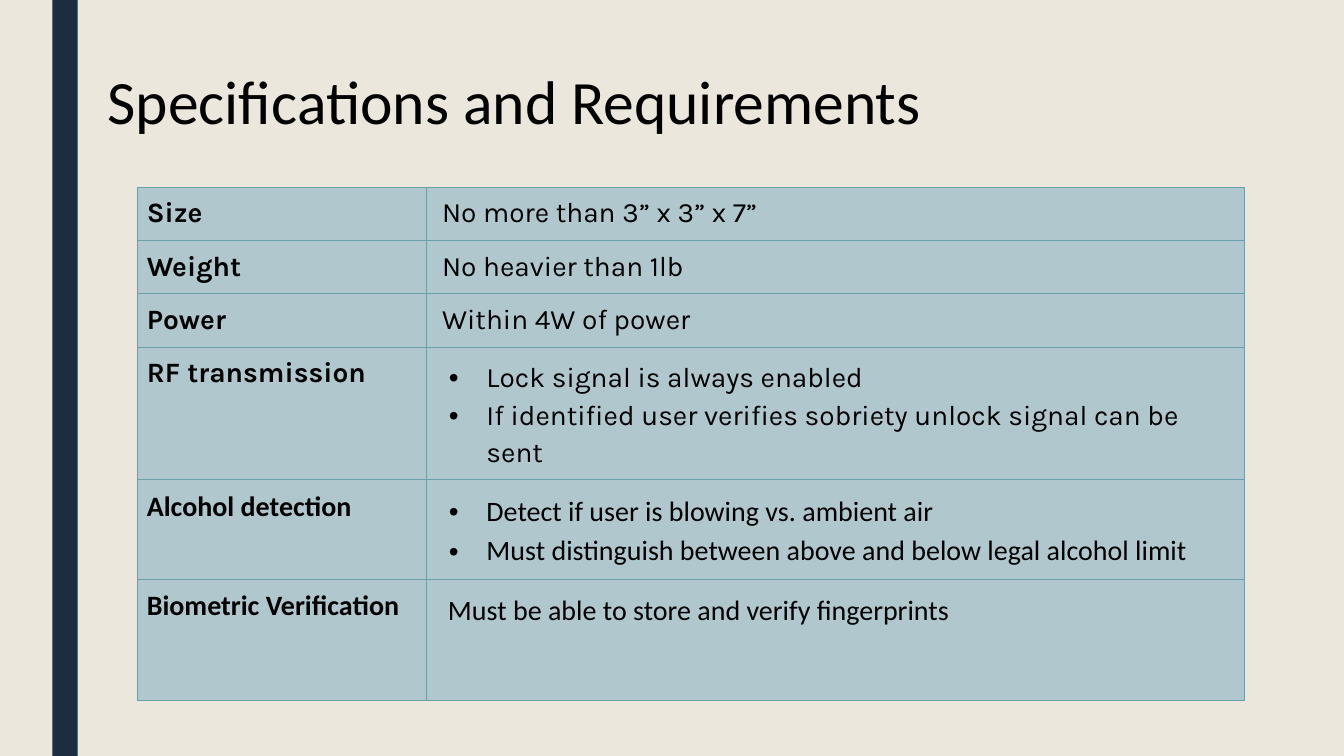
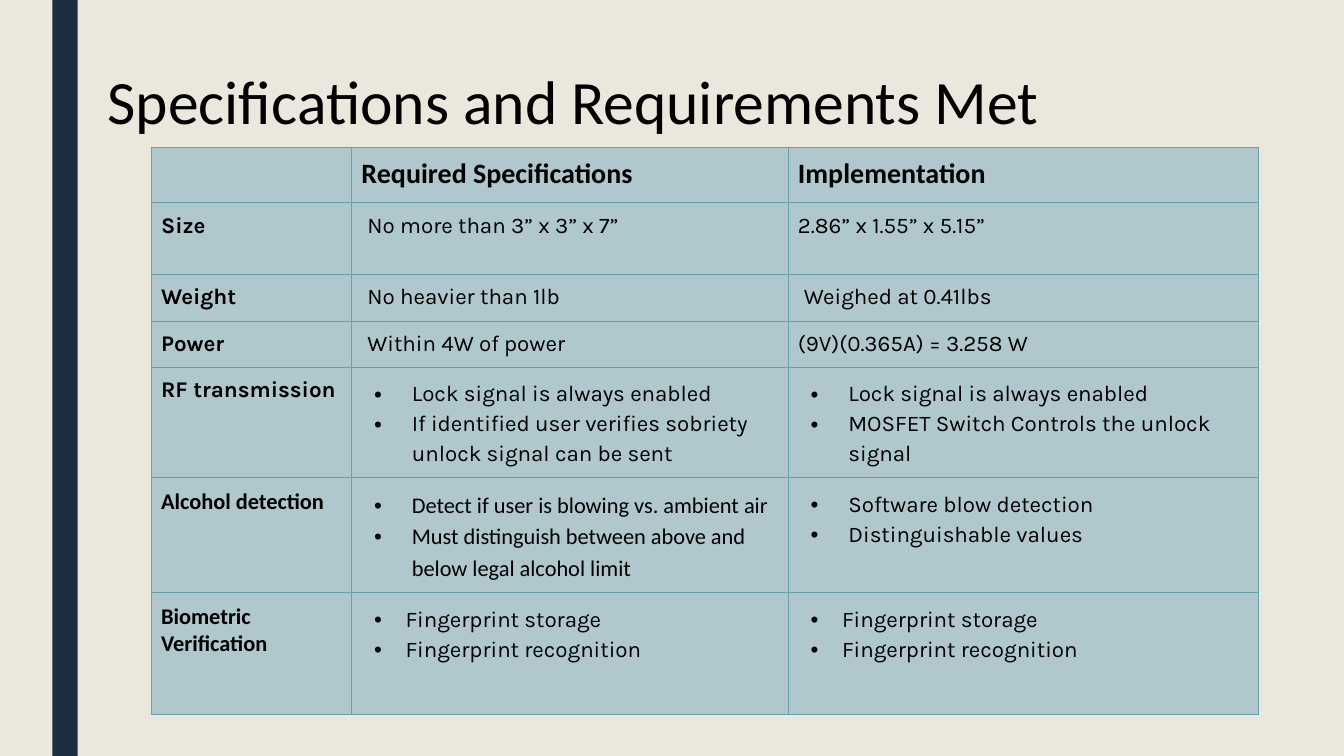
from dataclasses import dataclass

from lxml.etree import SubElement
from pptx import Presentation
from pptx.dml.color import RGBColor
from pptx.enum.shapes import MSO_SHAPE
from pptx.enum.text import MSO_ANCHOR, PP_ALIGN
from pptx.oxml.ns import qn
from pptx.util import Cm, Pt


@dataclass(frozen=True)
class Theme:
    paper: RGBColor = RGBColor(0xEB, 0xE7, 0xDD)
    navy: RGBColor = RGBColor(0x1A, 0x2E, 0x40)
    ink: RGBColor = RGBColor(0, 0, 0)
    cell: RGBColor = RGBColor(0xAF, 0xC7, 0xCD)
    rule: RGBColor = RGBColor(0x69, 0xA1, 0xAB)
    plain: str = "Calibri"
    wide: str = "Karla"
    title: int = 44
    large: int = 20
    small: int = 16


THEME = Theme()


@dataclass(frozen=True)
class Entry:
    """Text of one table cell; hang > 0 makes a bulleted list."""
    lines: tuple = ()
    face: str = THEME.wide
    bold: bool = False
    left: float = 0
    hang: float = 0
    lead: float | None = None


# Kinds of entry
def label(text, face=THEME.wide):
    return Entry((text,), face, bold=True)


def note(text, left=0.15):
    return Entry((text,), left=left)


def dots(*lines, face=THEME.wide, left=1.27, hang=0.95):
    return Entry(lines, face, left=left, hang=hang, lead=1.15)


def prints():
    return dots("Fingerprint storage", "Fingerprint recognition",
                left=1.11, hang=0.79)


# Content used by both tables
LABELS = [
    label("Size"),
    label("Weight"),
    label("Power"),
    label("RF transmission"),
    label("Alcohol detection", THEME.plain),
    label("Biometric Verification", THEME.plain),
]
NEEDS = [
    note("No more than 3” x 3” x 7”"),
    note("No heavier than 1lb"),
    note("Within 4W of power"),
    dots("Lock signal is always enabled",
         "If identified user verifies sobriety unlock signal can be sent"),
    dots("Detect if user is blowing vs. ambient air",
         "Must distinguish between above and below legal alcohol limit",
         face=THEME.plain),
]
STORE = Entry(("Must be able to store and verify fingerprints",),
              THEME.plain, left=0.3, lead=1.15)
RESULTS = [
    note("2.86” x 1.55” x 5.15”", 0),
    note("Weighed at 0.41lbs"),
    note("(9V)(0.365A) = 3.258 W", 0),
    dots("Lock signal is always enabled",
         "MOSFET Switch Controls the unlock signal"),
    dots("Software blow detection", "Distinguishable values"),
    prints(),
]
HEADS = [Entry(), label("Required Specifications", THEME.plain),
         label("Implementation", THEME.plain)]


# Formatting
def apply(item, values):
    for name, value in values.items():
        setattr(item, name, value)


def write(para, text, face, size, bold=False):
    run = para.add_run()
    run.text = text
    apply(run.font, {"name": face, "size": Pt(size), "bold": bold})
    run.font.color.rgb = THEME.ink


def indent(para, entry):
    props = para._p.get_or_add_pPr()
    props.set("marL", str(Cm(entry.left)))
    props.set("indent", str(-Cm(entry.hang)))
    if entry.hang:
        tint = SubElement(props, qn("a:buClr"))
        SubElement(tint, qn("a:srgbClr"), val=str(THEME.ink))
        SubElement(props, qn("a:buFont"), typeface="Arial")
        SubElement(props, qn("a:buChar"), char="•")


def border(cell):
    props = cell._tc.get_or_add_tcPr()
    for side in ("lnL", "lnR", "lnT", "lnB"):
        line = SubElement(props, qn(f"a:{side}"), w=str(Pt(0.5)))
        fill = SubElement(line, qn("a:solidFill"))
        SubElement(fill, qn("a:srgbClr"), val=str(THEME.rule))


# Table
def fill_cell(cell, entry, size):
    border(cell)
    cell.fill.solid()
    cell.fill.fore_color.rgb = THEME.cell
    apply(cell, {f"margin_{side}": Cm(0.25)
                 for side in ("left", "right", "top", "bottom")})
    frame = cell.text_frame
    for i, text in enumerate(entry.lines):
        para = frame.add_paragraph() if i else frame.paragraphs[0]
        indent(para, entry)
        if entry.lead:
            para.line_spacing = entry.lead
        write(para, text, entry.face, size, entry.bold)


def add_grid(slide, spot, widths, heights, rows, sizes):
    left, top = spot
    table = slide.shapes.add_table(
        len(rows), len(widths), Cm(left), Cm(top),
        Cm(sum(widths)), Cm(sum(heights))).table
    apply(table, {"first_row": False, "horz_banding": False})
    for col, width in zip(table.columns, widths):
        col.width = Cm(width)
    for line, height, row, size in zip(table.rows, heights, rows, sizes):
        line.height = Cm(height)
        for cell, entry in zip(line.cells, row):
            fill_cell(cell, entry, size)


# Slide frame
def add_page(deck, text):
    slide = deck.slides.add_slide(deck.slide_layouts[5])
    title = slide.shapes.title
    apply(title, {"left": Cm(2.46), "top": Cm(0.58),
                  "width": Cm(26.67), "height": Cm(4.11)})
    apply(title.text_frame, {"vertical_anchor": MSO_ANCHOR.MIDDLE,
                             "word_wrap": True})
    para = title.text_frame.paragraphs[0]
    apply(para, {"alignment": PP_ALIGN.LEFT, "line_spacing": 0.9})
    write(para, text, THEME.plain, THEME.title)
    return slide


def set_master(deck, slide):
    """Give the master its background and side band."""
    master = deck.slide_master
    back = master.background.fill
    back.solid()
    back.fore_color.rgb = THEME.paper
    band = slide.shapes.add_shape(MSO_SHAPE.RECTANGLE, Cm(1.32), 0,
                                  Cm(0.64), deck.slide_height)
    band.shadow.inherit = False
    band.fill.solid()
    band.fill.fore_color.rgb = THEME.navy
    band.line.fill.background()
    band.element.nvSpPr.cNvPr.set("id", "20")
    master.shapes.element.insert(2, band.element)


def main():
    deck = Presentation()
    apply(deck, {"slide_width": Cm(33.87), "slide_height": Cm(19.05)})

    # Requirements
    slide = add_page(deck, "Specifications and Requirements")
    set_master(deck, slide)
    rows = list(zip(LABELS, NEEDS + [STORE]))
    add_grid(slide, (3.45, 4.72), (7.29, 20.62),
             (1.34, 1.34, 1.34, 3.35, 2.5, 3.05),
             rows, [THEME.large] * len(rows))

    # Requirements against results
    slide = add_page(deck, "Specifications and Requirements Met")
    rows = [HEADS, *zip(LABELS, NEEDS + [prints()], RESULTS)]
    add_grid(slide, (3.81, 3.71), (5.05, 11, 11.86),
             (1.4, 1.81, 1.17, 1.17, 2.78, 2.9, 3.05),
             rows, [THEME.large] + [THEME.small] * len(LABELS))

    deck.save("out.pptx")


if __name__ == "__main__":
    main()
